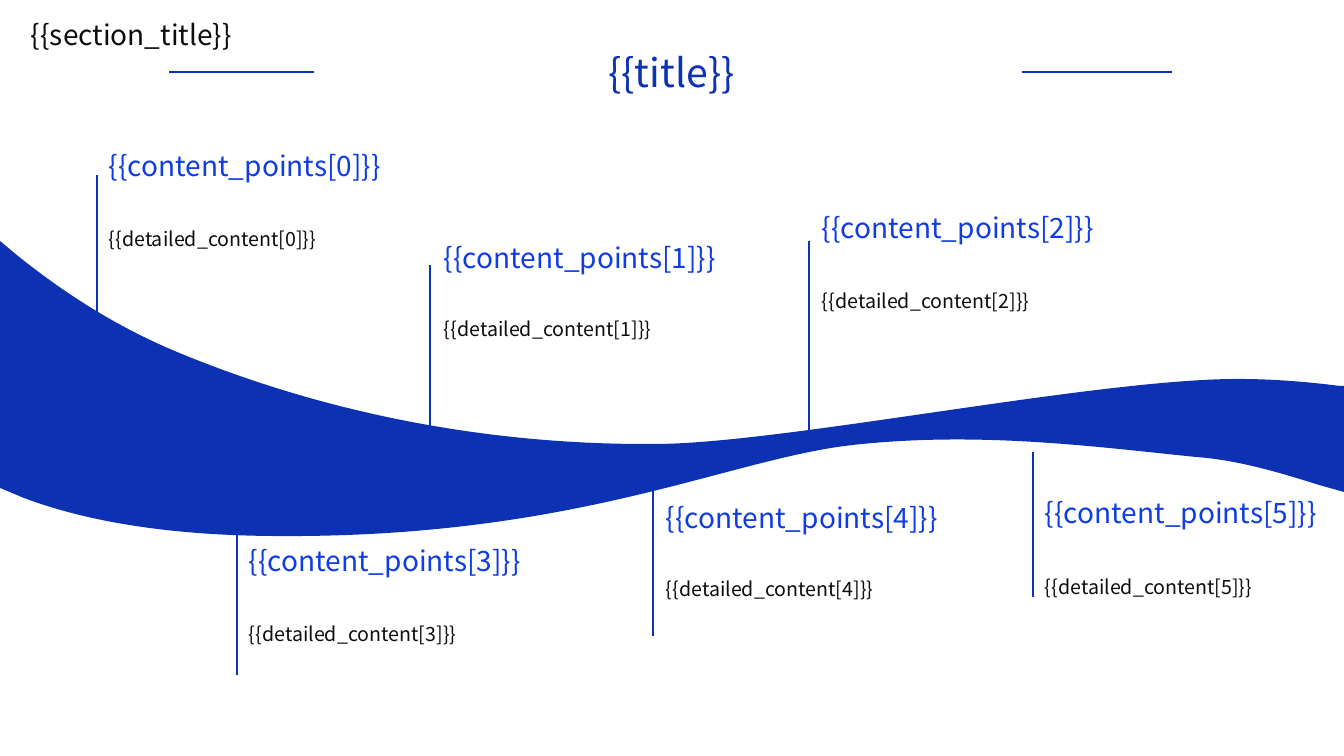
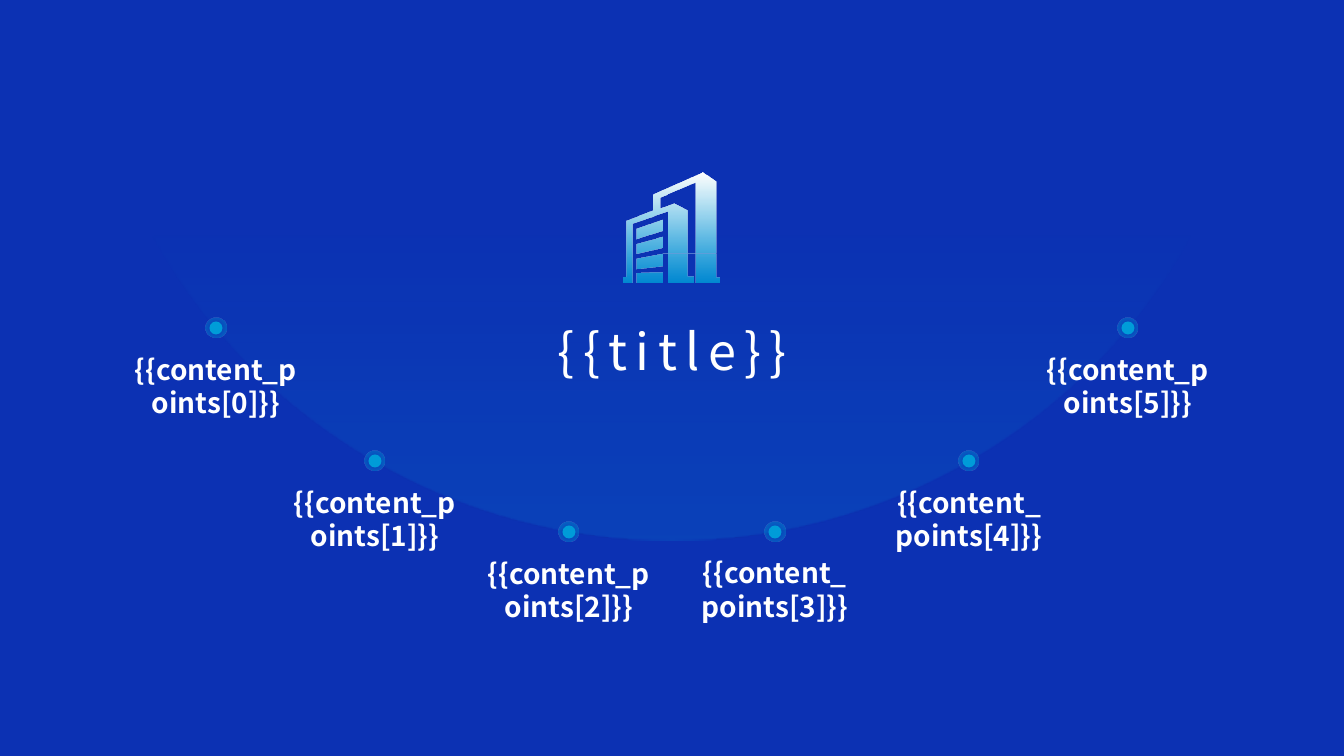
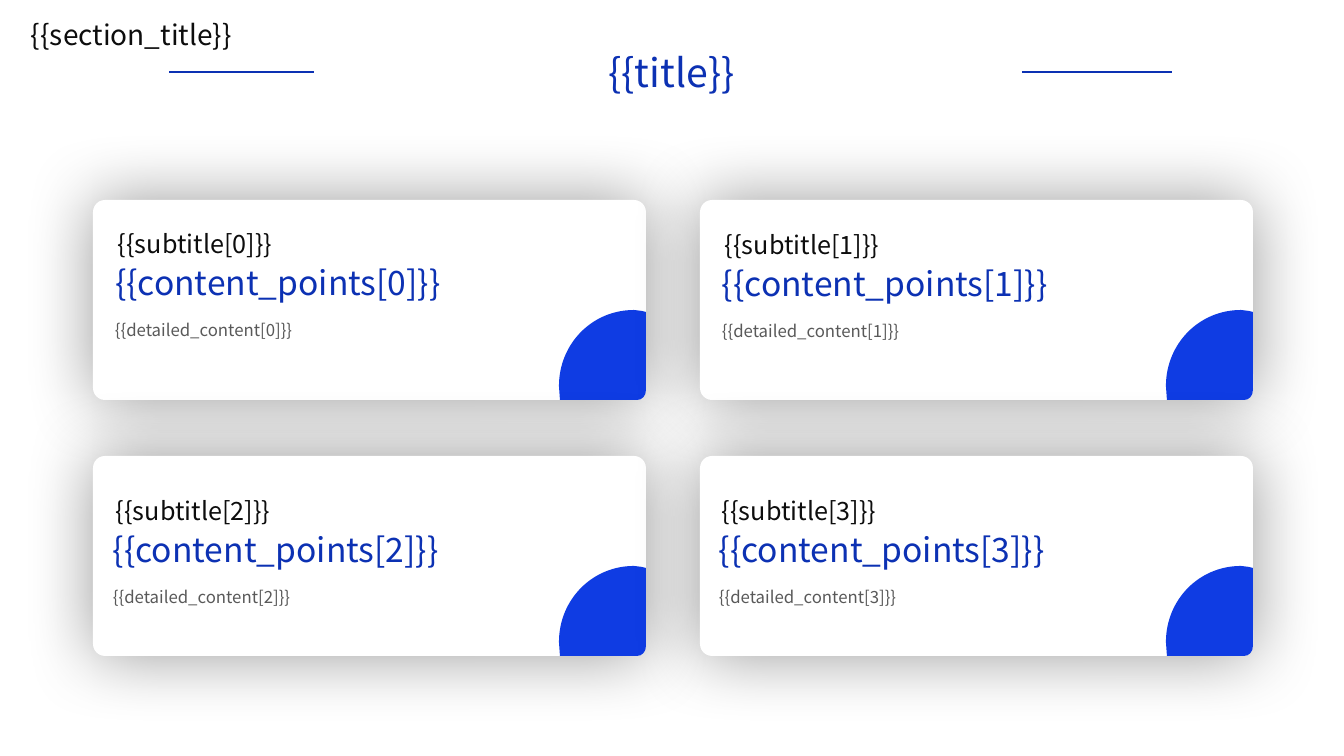
import pptx
import pptx.util
import pptx.dml.color
import pptx.enum.shapes
import pptx.enum.text
import pptx.oxml
import pptx.oxml.ns

SCALE = 12192000 / 1344  # EMU in one px
WIDE, HIGH = 1344, 756
KIND = pptx.enum.shapes.MSO_SHAPE
ALIGN = pptx.enum.text.PP_ALIGN

THEME = {
    "font": "Noto Sans CJK SC",
    "navy": "0C31B3", "blue": "0F3CE3", "cyan": "009DD9",
    "white": "FFFFFF", "black": "000000", "ink": "0D0D0D", "grey": "595959",
    "rule": 1.5, "ring": 1, "blur": 50, "shade": 40,
}
PAD, SIDE, NONE = (10, 5, 10, 5), (12, 0, 0, 0), (0, 0, 0, 0)
STYLES = {
    "section": {"pad": PAD, "color": "ink", "font": {"size": 20}},
    "title": {"pad": PAD, "color": "navy", "font": {"size": 28},
              "para": {"alignment": ALIGN.CENTER}},
    "point": {"pad": SIDE, "color": "blue", "font": {"size": 20},
              "para": {"space_after": pptx.util.Pt(6)}},
    "detail": {"pad": SIDE, "color": "ink", "font": {"size": 14},
               "para": {"alignment": ALIGN.JUSTIFY, "line_spacing": 1.5}},
    "cover": {"pad": PAD, "color": "white", "font": {"size": 36}, "track": 600,
              "para": {"alignment": ALIGN.CENTER}},
    "label": {"pad": PAD, "color": "white", "font": {"size": 20, "bold": True},
              "para": {"alignment": ALIGN.CENTER}},
    "sub": {"pad": PAD, "color": "ink", "font": {"size": 18}},
    "head": {"pad": NONE, "color": "navy", "font": {"size": 24}},
    "note": {"pad": NONE, "color": "grey", "font": {"size": 12},
             "para": {"line_spacing": 1.5}},
}

# Header: rules as x1, x2, y
RULES = [(314, 169, 72), (1022, 1172, 72)]

# Slide 1: outline steps of two numbers are corners, of six are curves
WAVE = [
    (0, 241), (18, 256), (58, 288, 110, 324, 177, 352),
    (358, 427, 529, 445, 655, 444), (781, 444, 1094, 379, 1238, 379),
    (1274, 379, 1308, 382, 1340, 386), (1344, 386), (1344, 492), (1319, 485),
    (1278, 472, 1237, 460, 1196, 457), (1097, 447, 980, 431, 853, 445),
    (727, 459, 576, 539, 271, 536), (158, 535, 80, 519, 24, 498), (0, 488),
]
# point, detail, line x, line from, line to, text x, point y, detail y, widths
STEMS = [
    ("{{content_points[0]}}", "{{detailed_content[0]}}", 97, 175, 321, 97, 148, 215, 294, 265),
    ("{{content_points[1]}}", "{{detailed_content[1]}}", 430, 265, 430, 432, 240, 305, 301, 246),
    ("{{content_points[2]}}", "{{detailed_content[2]}}", 809, 241, 437, 810, 210, 277, 294, 246),
    ("{{content_points[3]}}", "{{detailed_content[3]}}", 237, 675, 530, 237, 543, 610, 302, 246),
    ("{{content_points[4]}}", "{{detailed_content[4]}}", 653, 636, 491, 654, 500, 565, 302, 246),
    ("{{content_points[5]}}", "{{detailed_content[5]}}", 1033, 597, 452, 1033, 495, 563, 296, 246),
]
# faint rings: centre, size, opacity
RINGS = [(955, 204, 74, 10), (1220, 254, 34, 15)]

# Slide 2: label, its width and height; the dots mirror left to right
LABELS = [
    ("{{content_points[0]}}", 199, 78), ("{{content_points[1]}}", 193, 78),
    ("{{content_points[2]}}", 192, 78), ("{{content_points[3]}}", 172, 112),
    ("{{content_points[4]}}", 176, 78), ("{{content_points[5]}}", 191, 78),
]
HALF = [(216, 328), (375, 461), (569, 532)]
DOTS = HALF + [(WIDE - x, y) for x, y in reversed(HALF)]
DOT, HALO, DROP = 13, 20, 19
TOWER = [
    (715, 277), (715, 182), (702, 173), (653, 195), (653, 211), (627, 221),
    (627, 277), (624, 277), (624, 283), (633, 283), (633, 224), (668, 212),
    (668, 283), (693, 283), (693, 276), (687, 276), (687, 211), (674, 204),
    (660, 209), (660, 198), (695, 183), (695, 283), (719, 283), (719, 277),
]
# left top, right top, right bottom, left bottom of each window
PANES = [(229, 220, 231, 239), (244, 237, 248, 254),
         (259, 254, 266, 269), (273, 272, 283, 283)]

# Slide 3: subtitle, point, detail, x, y, subtitle width, point width
CARDS = [
    ("{{subtitle[0]}}", "{{content_points[0]}}", "{{detailed_content[0]}}", 115, 262, 341, 391),
    ("{{subtitle[1]}}", "{{content_points[1]}}", "{{detailed_content[1]}}", 722, 263, 357, 445),
    ("{{subtitle[2]}}", "{{content_points[2]}}", "{{detailed_content[2]}}", 113, 529, 377, 429),
    ("{{subtitle[3]}}", "{{content_points[3]}}", "{{detailed_content[3]}}", 719, 529, 360, 427),
]
GRID = {"left": 93, "top": 200, "across": 607, "down": 256, "wide": 553, "high": 200}
CORNER = [
    (541, 110), (544, 110, 547, 111, 549, 111), (553, 112), (553, 190),
    (553, 196, 549, 200, 544, 200), (467, 200), (466, 186),
    (466, 144, 499, 110, 541, 110),
]


def px(*nums):
    return [pptx.util.Emu(round(n * SCALE)) for n in nums]


def tint(name):
    return pptx.dml.color.RGBColor.from_string(THEME[name])


def xml(text):
    return pptx.oxml.parse_xml(text.replace(">", " %s>" % pptx.oxml.ns.nsdecls("a"), 1))


def paint(shape, color):
    """Plain fill, no outline, no shadow."""
    shape.shadow.inherit = False
    shape.line.fill.background()
    shape.fill.solid()
    shape.fill.fore_color.rgb = tint(color)
    return shape


def blend(shape, stops, way):
    """Gradient fill from (place, colour, opacity) stops."""
    paint(shape, stops[0][1])
    marks = "".join(
        '<a:gs pos="%d"><a:srgbClr val="%s"><a:alpha val="%d"/></a:srgbClr></a:gs>'
        % (pos * 1000, THEME[color], solid * 1000) for pos, color, solid in stops)
    props = shape._element.spPr
    old = props.find(pptx.oxml.ns.qn("a:solidFill"))
    props.replace(old, xml('<a:gradFill rotWithShape="1"><a:gsLst>%s</a:gsLst>%s</a:gradFill>'
                           % (marks, way)))


DOWN = '<a:lin ang="5400000" scaled="0"/>'
ROUND = ('<a:path path="circle"><a:fillToRect l="50000" t="50000" r="50000" b="50000"/>'
         '</a:path>')


def add(slide, kind, *box):
    return slide.shapes.add_shape(kind, *px(*box))


def disc(slide, x, y, size):
    return add(slide, KIND.OVAL, x - size / 2, y - size / 2, size, size)


def write(slide, text, style, *box):
    look = STYLES[style]
    frame = slide.shapes.add_textbox(*px(*box)).text_frame
    sides = ("margin_left", "margin_top", "margin_right", "margin_bottom")
    form = dict(zip(sides, px(*look["pad"])), word_wrap=True,
                auto_size=pptx.enum.text.MSO_AUTO_SIZE.SHAPE_TO_FIT_TEXT)
    para = frame.paragraphs[0]
    run = para.add_run()
    run.text = text
    font = dict(look["font"], name=THEME["font"], size=pptx.util.Pt(look["font"]["size"]))
    for part, vals in ((frame, form), (para, look.get("para", {})), (run.font, font)):
        for key, val in vals.items():
            setattr(part, key, val)
    run.font.color.rgb = tint(look["color"])
    if "track" in look:
        run._r.get_or_add_rPr().set("spc", str(look["track"]))


def rule(slide, *ends):
    line = slide.shapes.add_connector(pptx.enum.shapes.MSO_CONNECTOR.STRAIGHT, *px(*ends))
    line.line.color.rgb = tint("navy")
    line.line.width = pptx.util.Pt(THEME["rule"])
    line._element.spPr.append(xml("<a:effectLst></a:effectLst>"))


def ring(slide, x, y, size, solid):
    shape = disc(slide, x, y, size)
    shape.shadow.inherit = False
    shape.fill.background()
    shape.line.color.rgb = tint("white")
    shape.line.width = pptx.util.Pt(THEME["ring"])
    color = next(shape._element.spPr.iter(pptx.oxml.ns.qn("a:srgbClr")))
    color.append(xml('<a:alpha val="%d"></a:alpha>' % (solid * 1000)))


def outline(slide, *loops, x=0, y=0):
    """Closed outlines; a step of six numbers becomes a cubic curve."""
    pen = None
    for loop in loops:
        first, *rest = [px(x + step[-2], y + step[-1]) for step in loop]
        if pen is None:
            pen = slide.shapes.build_freeform(*first, scale=1.0)
        else:
            pen.move_to(*first)
        pen.add_line_segments(rest, close=True)
    shape = pen.convert_to_shape()
    steps = [step for loop in loops for step in loop]
    track = next(shape._element.spPr.iter(pptx.oxml.ns.qn("a:path")))
    marks = [m for m in track if len(m)]
    for step, mark in zip(steps, marks):
        if len(step) == 6:
            spots = [px(x + step[k], y + step[k + 1]) for k in (0, 2, 4)]
            bend = "".join('<a:pt x="%d" y="%d"/>' % (p - shape.left, q - shape.top)
                           for p, q in spots)
            track.replace(mark, xml("<a:cubicBezTo>%s</a:cubicBezTo>" % bend))
    return shape


def header(slide):
    write(slide, "{{title}}", "title", 337, 43, 669, 57)
    for start, end, y in RULES:
        rule(slide, start, y, end, y)
    write(slide, "{{section_title}}", "section", 21, 12, 463, 44)


def waves(slide):
    paint(outline(slide, WAVE), "navy")
    for _, _, x, start, end, *_ in STEMS:
        rule(slide, x, start, x, end)
    for faint in RINGS:
        ring(slide, *faint)
    for point, detail, _, _, _, left, top, low, wide, slim in STEMS:
        write(slide, point, "point", left, top, wide, 34)
        write(slide, detail, "detail", left, low, slim, 35)
    header(slide)


def arc(slide):
    paint(add(slide, KIND.RECTANGLE, 0, -4, WIDE, HIGH + 4), "navy")
    blend(add(slide, KIND.OVAL, 77, -650, 1190, 1190),
          [(74, "cyan", 0), (100, "cyan", 15)], DOWN)
    write(slide, "{{title}}", "cover", 360, 315, 625, 72)
    for x, y in DOTS:
        paint(disc(slide, x, y, DOT), "cyan")
    for x, y in DOTS:
        blend(disc(slide, x, y, HALO), [(0, "cyan", 0), (100, "cyan", 56)], ROUND)
    for (x, y), (text, wide, high) in zip(DOTS, LABELS):
        write(slide, text, "label", x - wide / 2, y + DROP, wide, high)
    # Building icon: two translucent layers deepen the tone
    panes = [list(zip((637, 663, 663, 637), ys)) for ys in PANES]
    for _ in range(2):
        blend(outline(slide, TOWER, *panes),
              [(0, "white", 100), (100, "cyan", 56)], DOWN)


def cards(slide):
    for i in range(len(CARDS)):
        row, col = divmod(i, 2)
        x = GRID["left"] + col * GRID["across"]
        y = GRID["top"] + row * GRID["down"]
        card = paint(add(slide, KIND.ROUNDED_RECTANGLE, x, y, GRID["wide"], GRID["high"]),
                     "white")
        card.adjustments[0] = 0.06
        glow = card._element.spPr.find(pptx.oxml.ns.qn("a:effectLst"))
        glow.append(xml('<a:outerShdw blurRad="%d" dist="0" dir="0" algn="ctr" rotWithShape="0">'
                        '<a:srgbClr val="%s"><a:alpha val="%d"/></a:srgbClr></a:outerShdw>'
                        % (pptx.util.Pt(THEME["blur"]), THEME["black"],
                           THEME["shade"] * 1000)))
        paint(outline(slide, CORNER, x=x, y=y), "blue")
    for sub, point, detail, x, y, slim, wide in CARDS:
        write(slide, point, "head", x, y, wide, 40)
        write(slide, detail, "note", x, y + 48, 427, 30)
        write(slide, sub, "sub", x - 7, y - 39, slim, 40)
    header(slide)


def main():
    deck = pptx.Presentation()
    deck.slide_width, deck.slide_height = px(WIDE, HIGH)
    for draw in (waves, arc, cards):
        draw(deck.slides.add_slide(deck.slide_layouts[6]))
    deck.save("out.pptx")


if __name__ == "__main__":
    main()
